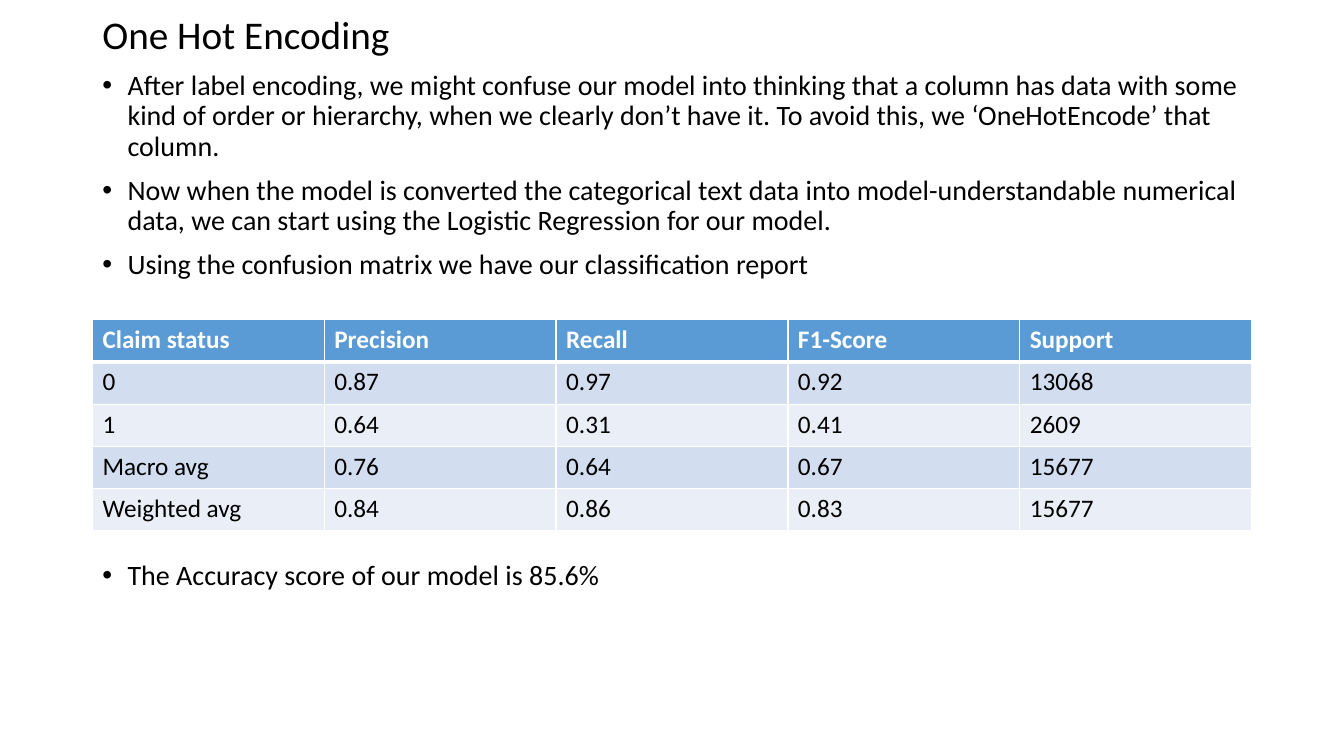
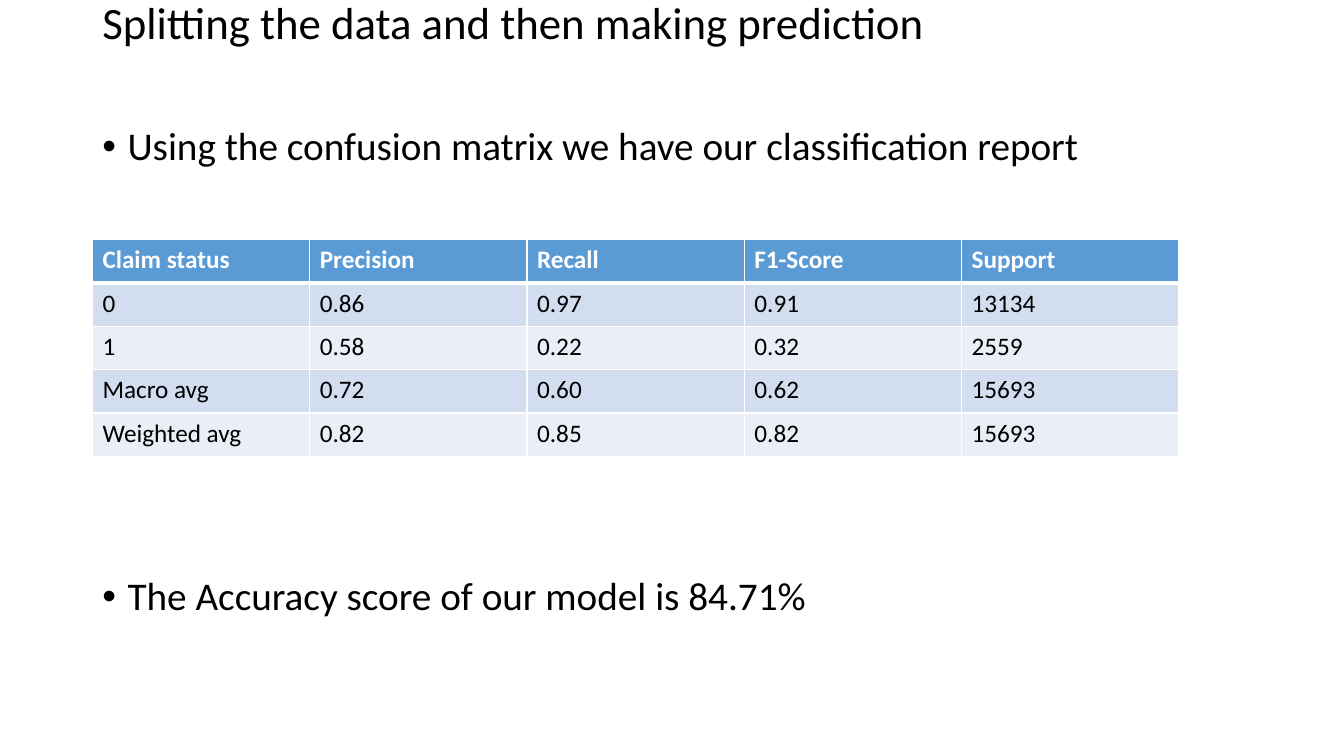
from lxml.etree import SubElement
from pptx import Presentation
from pptx.dml.color import RGBColor
from pptx.enum.text import MSO_ANCHOR, MSO_AUTO_SIZE
from pptx.oxml.ns import qn
from pptx.util import Inches, Pt

FONT = "Calibri"
BLACK, WHITE = "000000", "FFFFFF"
HEADER, BANDS = "5B9BD5", ("D2DEEF", "EAEFF7")
LEFT, WIDTH = 6.88, 86.25  # shared text column, percent of slide width
COLUMNS = ["Claim status", "Precision", "Recall", "F1-Score", "Support"]

# Tops and heights are percent of slide height, widths percent of slide width
SLIDES = [
    {
        "title": "One Hot Encoding",
        "title_box": (1.87, 6), "title_size": 28,
        "bullets": [
            "After label encoding, we might confuse our model into thinking that "
            "a column has data with some kind of order or hierarchy, when we "
            "clearly don’t have it. To avoid this, we ‘OneHotEncode’ that column.",
            "Now when the model is converted the categorical text data into "
            "model-understandable numerical data, we can start using the "
            "Logistic Regression for our model.",
            "Using the confusion matrix we have our classification report",
            "The Accuracy score of our model is 85.6%",
        ],
        "body_box": (8.8, 81.33), "body_size": 20, "table_gap": 200,
        "table_top": 42.27, "table_width": WIDTH, "row_height": 5.6,
        "rows": [
            ["0", "0.87", "0.97", "0.92", "13068"],
            ["1", "0.64", "0.31", "0.41", "2609"],
            ["Macro avg", "0.76", "0.64", "0.67", "15677"],
            ["Weighted avg", "0.84", "0.86", "0.83", "15677"],
        ],
    },
    {
        "title": "Splitting the data and then making prediction",
        "title_box": (0, 6.67), "title_size": 32,
        "bullets": [
            "Using the confusion matrix we have our classification report",
            "The Accuracy score of our model is 84.71%",
        ],
        "body_box": (16.13, 82.4), "body_size": 28, "table_gap": 291,
        "table_top": 31.73, "table_width": 80.85, "row_height": 5.73,
        "rows": [
            ["0", "0.86", "0.97", "0.91", "13134"],
            ["1", "0.58", "0.22", "0.32", "2559"],
            ["Macro avg", "0.72", "0.60", "0.62", "15693"],
            ["Weighted avg", "0.82", "0.85", "0.82", "15693"],
        ],
    },
]

prs = Presentation()
prs.slide_width, prs.slide_height = Inches(13.33), Inches(7.5)
X, Y = prs.slide_width / 100, prs.slide_height / 100


def set_font(r, size, color, bold=False):
    font = {"name": FONT, "size": Pt(size), "bold": bold}
    for key, value in font.items():
        setattr(r.font, key, value)
    r.font.color.rgb = RGBColor.from_string(color)


def add_text(s, box, texts, size, frame):
    top, height = box
    sp = s.shapes.add_textbox(int(LEFT * X), int(top * Y),
                              int(WIDTH * X), int(height * Y))
    tf = sp.text_frame
    frame = {"word_wrap": True, "auto_size": MSO_AUTO_SIZE.NONE, **frame}
    for key, value in frame.items():
        setattr(tf, key, value)
    for i, text in enumerate(texts):
        p = tf.paragraphs[0] if i == 0 else tf.add_paragraph()
        p.line_spacing = 0.9
        r = p.add_run()
        r.text = text
        set_font(r, size, BLACK)
    return tf


for data in SLIDES:
    s = prs.slides.add_slide(prs.slide_layouts[6])

    # Title
    add_text(s, data["title_box"], [data["title"]], data["title_size"],
             {"vertical_anchor": MSO_ANCHOR.MIDDLE,
              "margin_top": 0, "margin_bottom": 0})

    # Bullets, the last one set below the table
    tf = add_text(s, data["body_box"], data["bullets"], data["body_size"],
                  {"vertical_anchor": MSO_ANCHOR.TOP})
    for p in tf.paragraphs:
        p.space_before = Pt(10)
        pPr = p._p.get_or_add_pPr()
        pPr.set("marL", str(Inches(0.25)))
        pPr.set("indent", str(-Inches(0.25)))
        SubElement(pPr, qn("a:buFont"), typeface="Arial")
        SubElement(pPr, qn("a:buChar"), char="•")
    tf.paragraphs[-1].space_before = Pt(data["table_gap"])

    # Classification report
    rows = [COLUMNS] + data["rows"]
    table = s.shapes.add_table(
        len(rows), len(COLUMNS), int(LEFT * X), int(data["table_top"] * Y),
        int(data["table_width"] * X),
        int(data["row_height"] * len(rows) * Y)).table
    for i, row in enumerate(rows):
        fill = BANDS[(i - 1) % 2] if i else HEADER
        borders = {"a:lnL": 1, "a:lnR": 1,
                   "a:lnT": 3 if i == 1 else 1, "a:lnB": 1 if i else 3}
        for j, text in enumerate(row):
            cell = table.cell(i, j)
            tcPr = cell._tc.get_or_add_tcPr()
            for side, width in borders.items():
                ln = SubElement(tcPr, qn(side), w=str(Pt(width)))
                line = SubElement(ln, qn("a:solidFill"))
                SubElement(line, qn("a:srgbClr"), val=WHITE)
            cell.fill.solid()
            cell.fill.fore_color.rgb = RGBColor.from_string(fill)
            r = cell.text_frame.paragraphs[0].add_run()
            r.text = text
            set_font(r, 18, BLACK if i else WHITE, bold=i == 0)

prs.save("out.pptx")
